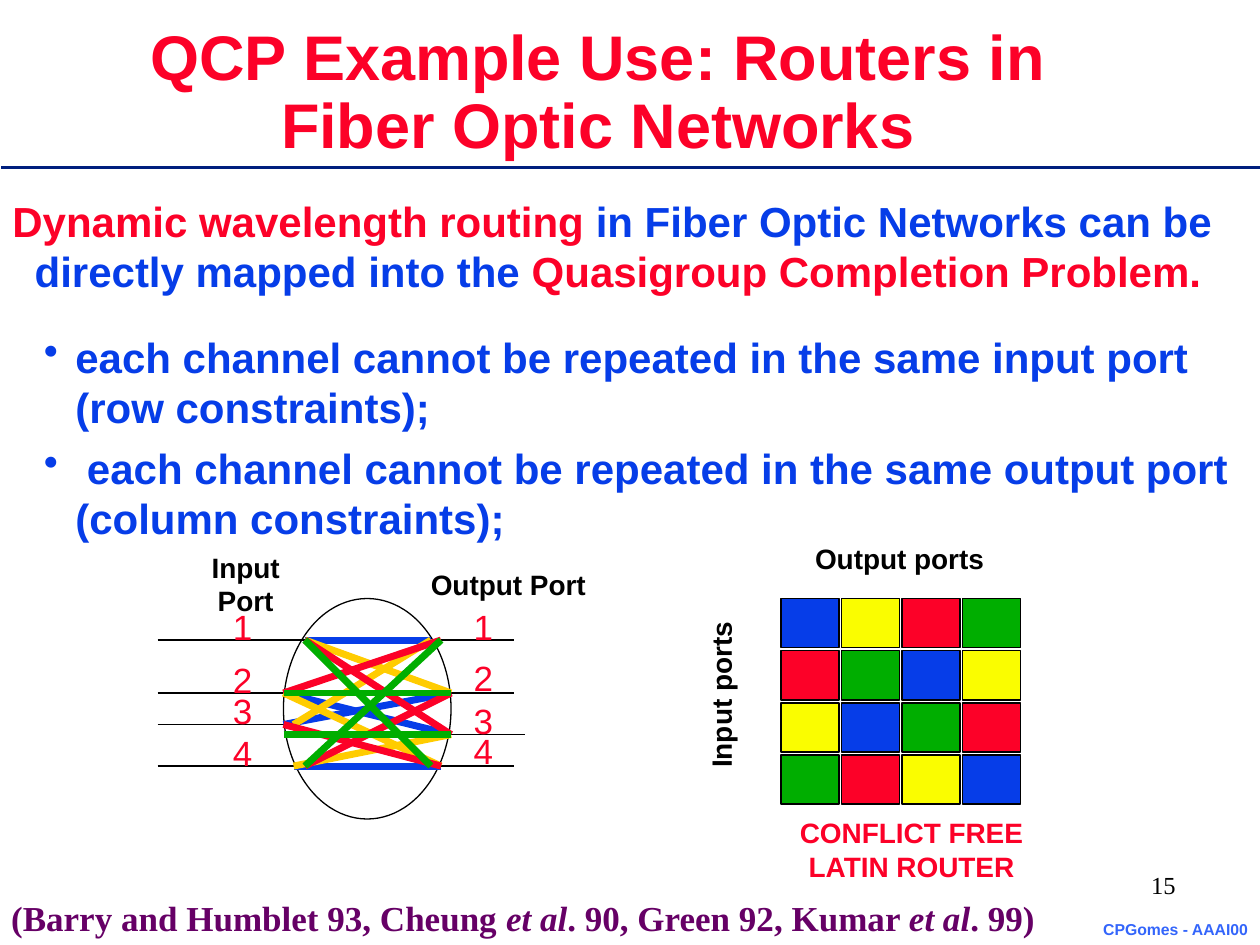
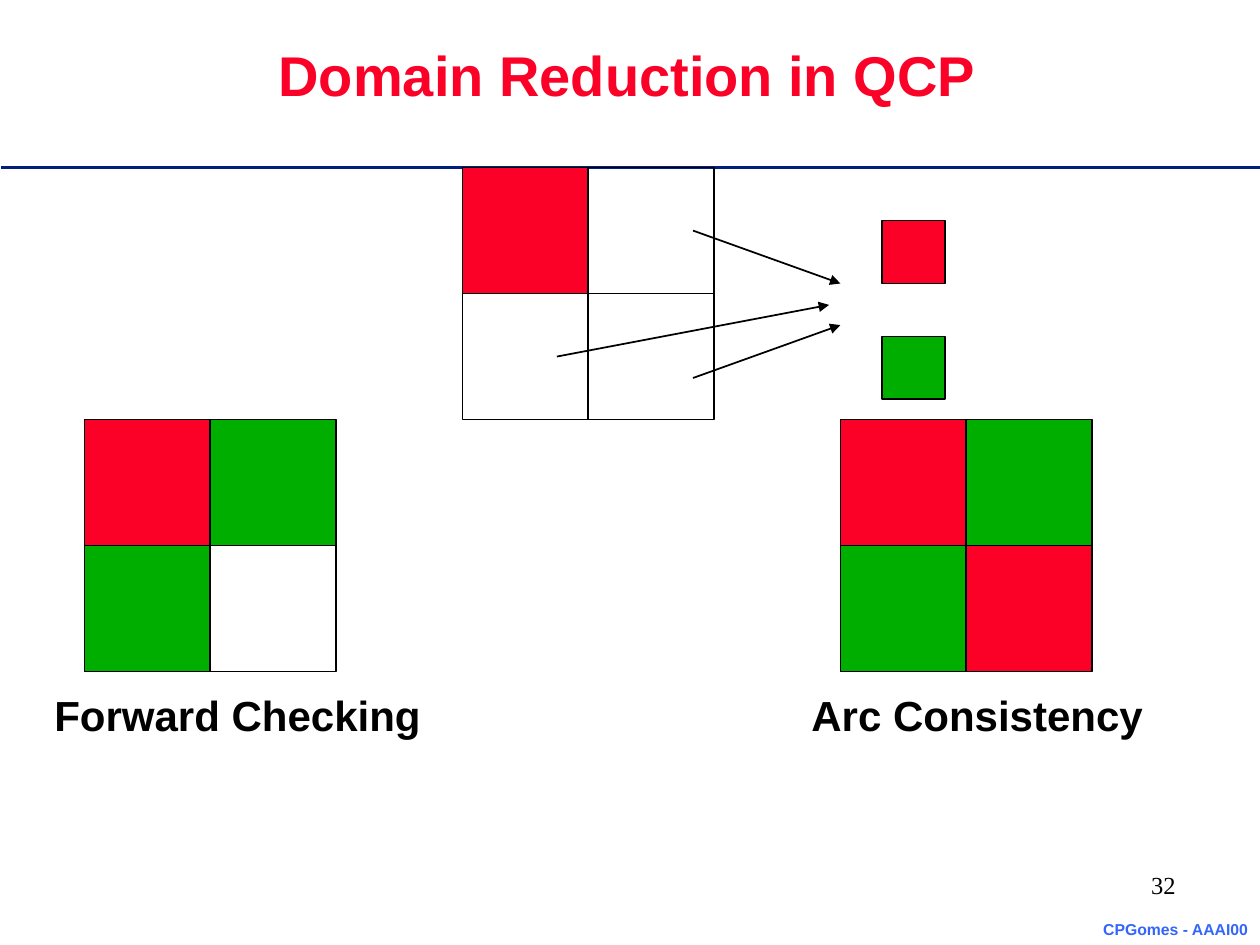
from dataclasses import dataclass
from typing import NamedTuple, Optional, Union

from lxml.etree import SubElement
from pptx import Presentation
from pptx.dml.color import RGBColor
from pptx.enum.shapes import MSO_CONNECTOR, MSO_SHAPE
from pptx.enum.text import MSO_ANCHOR, PP_ALIGN
from pptx.oxml.ns import qn
from pptx.util import Inches, Pt

RED = RGBColor(0xFC, 0x01, 0x28)
BLUE = RGBColor(0x06, 0x3D, 0xE8)
GREEN = RGBColor(0x00, 0xAE, 0x00)
YELLOW = RGBColor(0xFA, 0xFD, 0x00)
GOLD = RGBColor(0xFF, 0xCC, 0x00)
PURPLE = RGBColor(0x66, 0x00, 0x66)
NAVY = RGBColor(0x00, 0x1F, 0x7E)
FOOTER_BLUE = RGBColor(0x33, 0x65, 0xFB)
BLACK = RGBColor(0, 0, 0)
WHITE = RGBColor(0xFF, 0xFF, 0xFF)


class Run(NamedTuple):
    text: str
    color: Optional[RGBColor] = None
    italic: bool = False


@dataclass
class Label:
    x: float
    y: float
    w: float
    h: float
    paras: list[Union[str, list[Run]]]
    size: int
    color: RGBColor = BLACK
    bold: bool = True
    font: str = "Arial"
    align: PP_ALIGN = PP_ALIGN.CENTER
    anchor: MSO_ANCHOR = MSO_ANCHOR.MIDDLE
    wrap: bool = False
    rotation: int = 0
    line_spacing: Optional[float] = None
    bullets: bool = False
    shadow: bool = False


class Line(NamedTuple):
    x1: float
    y1: float
    x2: float
    y2: float


@dataclass
class Grid:
    x: float
    y: float
    cell_w: float
    cell_h: float
    step_x: float
    step_y: float
    rows: list[list[Optional[RGBColor]]]


INPUT_WIRES = [Line(1.25, 5.08, 2.42, 5.08), Line(1.25, 5.5, 2.25, 5.5),
               Line(1.25, 5.75, 2.25, 5.75), Line(1.25, 6.08, 2.42, 6.08)]
OUTPUT_WIRES = [Line(3.5, 5.08, 4.08, 5.08), Line(3.58, 5.5, 4.08, 5.5),
                Line(3.58, 5.83, 4.17, 5.83), Line(3.5, 6.08, 4.08, 6.08)]
CHANNELS = {
    BLUE: [Line(2.42, 5.08, 3.42, 5.08), Line(2.25, 5.5, 3.58, 5.83),
           Line(2.25, 5.75, 3.58, 5.5), Line(2.33, 6.08, 3.5, 6.08)],
    GOLD: [Line(2.42, 5.08, 3.58, 5.5), Line(2.25, 5.5, 3.5, 6.08),
           Line(2.33, 5.75, 3.42, 5.08), Line(2.33, 6.08, 3.58, 5.83)],
    RED: [Line(2.42, 5.08, 3.58, 5.83), Line(2.25, 5.5, 3.5, 5.08),
          Line(2.25, 5.75, 3.5, 6.08), Line(2.42, 6.08, 3.58, 5.5)],
    GREEN: [Line(2.42, 5.08, 3.42, 6.08), Line(2.25, 5.5, 3.58, 5.5),
            Line(2.25, 5.83, 3.58, 5.83), Line(2.42, 6.08, 3.5, 5.08)],
}
PORT_TOPS = {1.75: [4.75, 5.17, 5.42, 5.75], 3.66: [4.75, 5.16, 5.5, 5.74]}
LATIN_SQUARE = [
    [BLUE, YELLOW, RED, GREEN],
    [RED, GREEN, BLUE, YELLOW],
    [YELLOW, BLUE, GREEN, RED],
    [GREEN, RED, YELLOW, BLUE],
]
DOMAIN_ARROWS = [Line(5.5, 3, 6.67, 2.58), Line(5.5, 1.83, 6.67, 2.25),
                 Line(4.42, 2.83, 6.58, 2.42)]


def add_line(s, line: Line, color: RGBColor = BLACK, width: float = 0.75,
             arrow: bool = False) -> None:
    """Draw a straight line, optionally with an arrowhead at its end."""
    cxn = s.shapes.add_connector(MSO_CONNECTOR.STRAIGHT, *map(Inches, line))
    cxn.line.color.rgb = color
    cxn.line.width = Pt(width)
    if arrow:
        SubElement(cxn.line._get_or_add_ln(), qn("a:tailEnd"), type="triangle")
    SubElement(cxn._element.spPr, qn("a:effectLst"))


def add_box(s, kind: MSO_SHAPE, x: float, y: float, w: float, h: float,
            fill: Optional[RGBColor], width: float = 1) -> None:
    """Draw a black-outlined shape, hollow when no fill is given."""
    sp = s.shapes.add_shape(kind, Inches(x), Inches(y), Inches(w), Inches(h))
    sp.shadow.inherit = False
    sp.line.color.rgb = BLACK
    sp.line.width = Pt(width)
    if fill is None:
        sp.fill.background()
    else:
        sp.fill.solid()
        sp.fill.fore_color.rgb = fill


def add_grid(s, grid: Grid) -> None:
    """Draw a grid of coloured cells."""
    for i, row in enumerate(grid.rows):
        for j, fill in enumerate(row):
            add_box(s, MSO_SHAPE.RECTANGLE, grid.x + j * grid.step_x,
                    grid.y + i * grid.step_y, grid.cell_w, grid.cell_h, fill)


def add_bullet(p, color: RGBColor) -> None:
    """Give a paragraph a hanging coloured bullet."""
    pPr = p._p.get_or_add_pPr()
    pPr.set("marL", str(Inches(0.5)))
    pPr.set("indent", str(Inches(-0.25)))
    clr = SubElement(pPr, qn("a:buClr"))
    SubElement(clr, qn("a:srgbClr"), val=str(color))
    SubElement(pPr, qn("a:buChar"), char="•")


def add_text_shadow(r) -> None:
    """Give a run a hard black shadow."""
    effects = SubElement(r._r.get_or_add_rPr(), qn("a:effectLst"))
    shadow = SubElement(effects, qn("a:outerShdw"), dist="35921", dir="2700000",
                        algn="ctr", rotWithShape="0")
    SubElement(shadow, qn("a:srgbClr"), val=str(BLACK))
    rPr = r._r.get_or_add_rPr()
    rPr.insert(1, effects)


def add_label(s, label: Label) -> None:
    """Draw a text box with one paragraph per entry."""
    sp = s.shapes.add_textbox(Inches(label.x), Inches(label.y),
                              Inches(label.w), Inches(label.h))
    sp.rotation = label.rotation
    tf = sp.text_frame
    tf.word_wrap = label.wrap
    tf.vertical_anchor = label.anchor
    for i, content in enumerate(label.paras):
        p = tf.add_paragraph() if i else tf.paragraphs[0]
        p.alignment = label.align
        if label.line_spacing:
            p.line_spacing = label.line_spacing
        if label.bullets:
            if i:
                p.space_before = Pt(6)
            add_bullet(p, label.color)
        for part in [Run(content)] if isinstance(content, str) else content:
            r = p.add_run()
            r.text = part.text
            r.font.name = label.font
            r.font.size = Pt(label.size)
            r.font.bold = label.bold
            r.font.italic = part.italic
            r.font.color.rgb = part.color or label.color
            if label.shadow:
                add_text_shadow(r)


def start_slide(prs, title: Label, number: int):
    """Add a blank slide with rule, footer, title and slide number."""
    s = prs.slides.add_slide(prs.slide_layouts[6])
    add_line(s, Line(0.01, 1.33, 10, 1.33), NAVY, 2)
    add_label(s, Label(8.65, 7.25, 1.36, 0.25, ["CPGomes - AAAI00"], 9,
                       FOOTER_BLUE, anchor=MSO_ANCHOR.TOP))
    title.color, title.line_spacing = RED, 0.9
    add_label(s, title)
    add_label(s, Label(7.17, 6.86, 2.26, 0.33, [str(number)], 14, bold=False,
                       font="Times New Roman", align=PP_ALIGN.RIGHT, wrap=True))
    return s


def build_router_slide(prs) -> None:
    """Build the fiber optic router slide."""
    s = start_slide(prs, Label(
        0.58, 0.25, 8.33, 0.99, ["QCP Example Use: Routers in Fiber Optic Networks"],
        36, wrap=True, shadow=True), 15)
    labels = [
        Label(0, 1.5, 9.81, 0.9, [
            [Run("Dynamic wavelength routing", RED),
             Run(" in Fiber Optic Networks can be ")],
            [Run("directly mapped into the "),
             Run("Quasigroup Completion Problem.", RED)],
        ], 24, BLUE, anchor=MSO_ANCHOR.TOP),
        Label(0, 2.58, 10, 1.8, [
            "each channel cannot be repeated in the same input port (row constraints);",
            " each channel cannot be repeated in the same output port (column constraints);",
        ], 24, BLUE, align=PP_ALIGN.LEFT, anchor=MSO_ANCHOR.TOP, wrap=True,
            bullets=True),
        Label(-0.01, 7.13, 8.33, 0.37, [[
            Run("(Barry and Humblet 93, Cheung "), Run("et al", italic=True),
            Run(". 90, Green 92, Kumar "), Run("et al", italic=True), Run(". 99)"),
        ]], 20, PURPLE, font="Times New Roman", align=PP_ALIGN.LEFT,
            line_spacing=0.8),
        Label(6.25, 6.42, 1.97, 0.64, ["CONFLICT FREE", "LATIN ROUTER"], 16, RED),
        Label(5.04, 5.33, 1.36, 0.37, ["Input ports"], 16, rotation=270),
        Label(6.37, 4.25, 1.54, 0.37, ["Output ports"], 16),
        Label(1.33, 4.45, 1.24, 0.37, ["Input Port"], 16),
        Label(3.32, 4.45, 1.43, 0.37, ["Output Port"], 16),
    ]
    for x, tops in PORT_TOPS.items():
        labels += [Label(x, y, 0.35, 0.44, [str(port)], 20, RED, bold=False)
                   for port, y in enumerate(tops, 1)]

    add_grid(s, Grid(6.2, 4.75, 0.46, 0.39, 0.48, 1.24 / 3, LATIN_SQUARE))
    add_box(s, MSO_SHAPE.OVAL, 2.25, 4.75, 1.33, 1.75, WHITE, 0.75)
    for wire in INPUT_WIRES + OUTPUT_WIRES:
        add_line(s, wire)
    for color, paths in CHANNELS.items():
        for channel in paths:
            add_line(s, channel, color, 4)
    for label in labels:
        add_label(s, label)


def build_domain_slide(prs) -> None:
    """Build the domain reduction slide."""
    s = start_slide(prs, Label(2.11, 0.33, 5.74, 0.58, ["Domain Reduction in QCP"],
                               32, anchor=MSO_ANCHOR.TOP), 32)
    squares = [
        (3.67, 1.33, [[RED, None], [None, None]]),
        (0.67, 3.33, [[RED, GREEN], [GREEN, None]]),
        (6.67, 3.33, [[RED, GREEN], [GREEN, RED]]),
    ]
    for x, y, rows in squares:
        add_grid(s, Grid(x, y, 1, 1, 1, 1, rows))
    add_grid(s, Grid(7, 1.75, 0.5, 0.5, 0, 0.92, [[RED], [GREEN]]))
    for arrow in DOMAIN_ARROWS:
        add_line(s, arrow, width=1, arrow=True)
    for x, w, caption in [(0.33, 3.11, "Forward Checking"),
                          (6.34, 2.83, "Arc Consistency")]:
        add_label(s, Label(x, 5.42, w, 0.5, [caption], 24, anchor=MSO_ANCHOR.TOP))


def main() -> None:
    """Build and save the presentation."""
    prs = Presentation()
    prs.slide_width, prs.slide_height = Inches(10), Inches(7.5)
    build_router_slide(prs)
    build_domain_slide(prs)
    prs.save("out.pptx")


if __name__ == "__main__":
    main()
